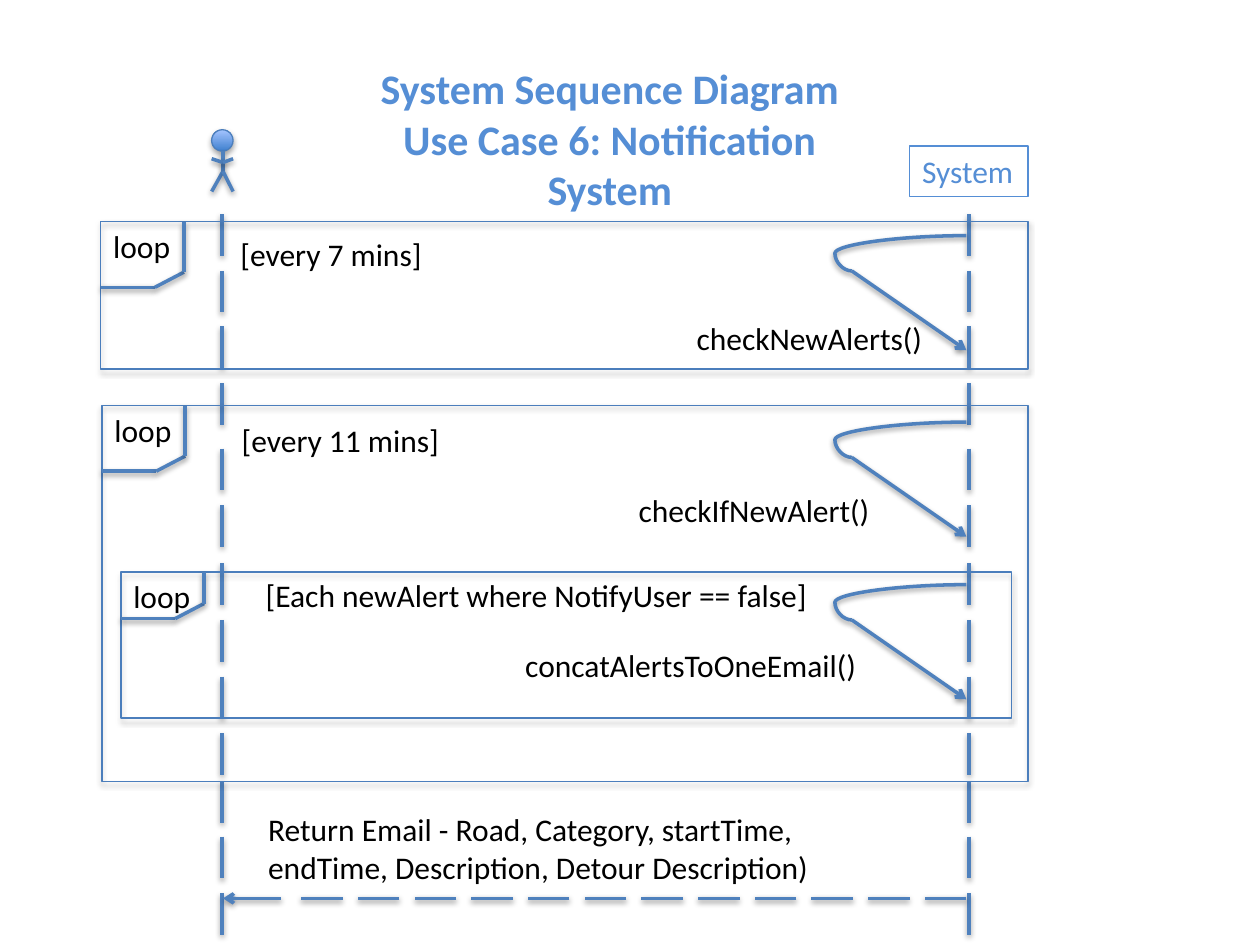
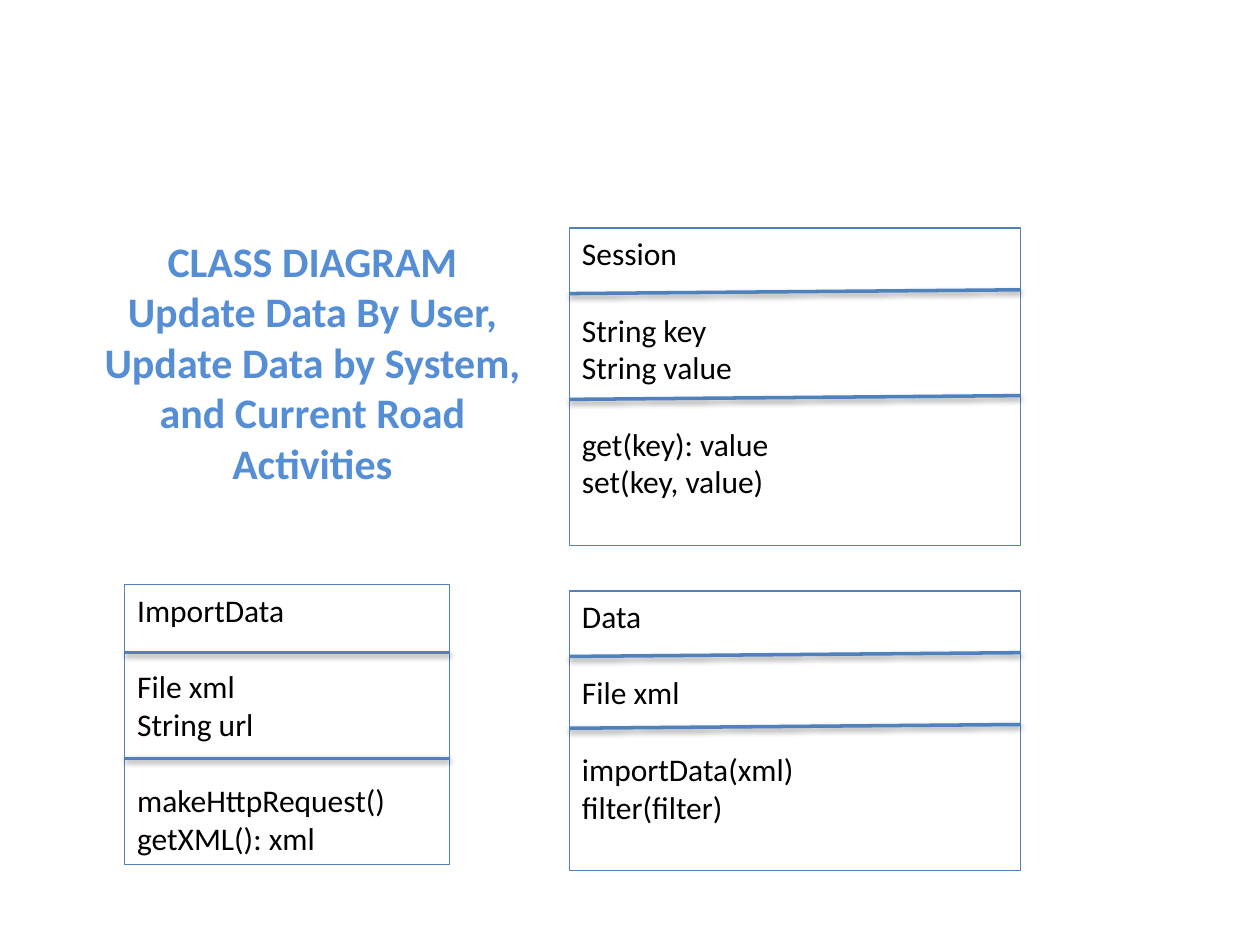
from itertools import pairwise

from lxml import etree
from pptx import Presentation
from pptx.dml.color import RGBColor
from pptx.enum.shapes import MSO_CONNECTOR, MSO_SHAPE
from pptx.enum.text import MSO_ANCHOR, MSO_AUTO_SIZE, PP_ALIGN
from pptx.oxml.ns import qn
from pptx.util import Emu, Pt

STRAIGHT, CURVE = MSO_CONNECTOR.STRAIGHT, MSO_CONNECTOR.CURVE
RECT, OVAL = MSO_SHAPE.RECTANGLE, MSO_SHAPE.OVAL
TOP, FIT = MSO_ANCHOR.TOP, MSO_AUTO_SIZE.SHAPE_TO_FIT_TEXT
LEFT, CENTER = PP_ALIGN.LEFT, PP_ALIGN.CENTER

BLACK = RGBColor(0x00, 0x00, 0x00)
TITLE = RGBColor(0x55, 0x8E, 0xD5)
LINE = RGBColor(0x4F, 0x81, 0xBD)
EDGE = RGBColor(0x4B, 0x7E, 0xBC)
DARK = RGBColor(0x3F, 0x80, 0xCE)
LIGHT = RGBColor(0xA4, 0xC4, 0xFF)

FONT = "Calibri"
SCALE = 9144  # EMU in one px, 100 px to the inch
DASH = 33
USER_X, SYSTEM_X, CALL_X = 176, 769, 767
DASH_TOPS = (170, 215, 259, 304, 356, 401, 447, 492, 537, 582, 620, 664, 709)


def px(*nums):
    return [Emu(n * SCALE) for n in nums]


# Effects and strokes
def add_shadow(shape, alpha, dist):
    props = shape.element.spPr
    glow = props.find(qn("a:effectLst"))
    if glow is None:
        glow = etree.SubElement(props, qn("a:effectLst"))
    shade = etree.SubElement(glow, qn("a:outerShdw"), blurRad="40000",
                             dist=str(dist), dir="5400000", rotWithShape="0")
    tint = etree.SubElement(shade, qn("a:srgbClr"), val=str(BLACK))
    etree.SubElement(tint, qn("a:alpha"), val=str(alpha * 1000))


def add_line(slide, start, end, kind=STRAIGHT, arrow=False):
    line = slide.shapes.add_connector(kind, *px(*start, *end))
    line.line.color.rgb = LINE
    line.line.width = Pt(2)
    if arrow:
        etree.SubElement(line.element.spPr.find(qn("a:ln")),
                         qn("a:tailEnd"), type="arrow")
    add_shadow(line, 38, 20000)
    return line


def add_chain(slide, *points):
    for start, end in pairwise(points):
        add_line(slide, start, end)


def add_box(slide, kind, area, edge):
    box = slide.shapes.add_shape(kind, *px(*area))
    box.shadow.inherit = False
    box.fill.background()
    box.line.color.rgb = edge
    box.line.width = Pt(0.75)
    return box


# Text
def write(frame, lines, size=18, color=BLACK, bold=False, align=LEFT, wrap=False):
    frame.word_wrap = wrap
    frame.auto_size = FIT
    frame.vertical_anchor = TOP
    for i, text in enumerate(lines):
        para = frame.paragraphs[0] if i == 0 else frame.add_paragraph()
        para.alignment = align
        run = para.add_run()
        run.text = text
        run.font.name = FONT
        run.font.size = Pt(size)
        run.font.bold = bold
        run.font.color.rgb = color


def add_label(slide, area, *lines, **style):
    write(slide.shapes.add_textbox(*px(*area)).text_frame, lines, **style)


def add_title(slide, area, *lines):
    add_label(slide, area, *lines, size=24, color=TITLE, bold=True,
              align=CENTER, wrap=True)


# Sequence diagram parts
def add_life(slide, x):
    for top in DASH_TOPS:
        add_line(slide, (x, top), (x, top + DASH))


def add_actor(slide):
    head = add_box(slide, OVAL, (168, 103, 17, 17), EDGE)
    head.fill.gradient()
    head.fill.gradient_angle = 90
    for stop, color in zip(head.fill.gradient_stops, (DARK, LIGHT)):
        stop.color.rgb = color
    add_shadow(head, 35, 23000)
    neck, hip = (177, 120), (177, 136)
    add_line(slide, neck, hip)
    for x in (168, 185):
        add_line(slide, hip, (x, 152))
        add_line(slide, (177, 129), (x, 126))


def add_loop(slide, area, tab):
    left, top = area[:2]
    add_shadow(add_box(slide, RECT, area, EDGE), 35, 23000)
    add_label(slide, (left, top - 1, 66, 40), "loop")
    base = top + tab
    add_chain(slide, (left, base), (left + 43, base),
              (left + 66, base - 12), (left + 66, top))


def add_call(slide, top):
    turn = (676, top + 28)
    bend = add_line(slide, (CALL_X, top), turn, CURVE)
    guides = bend.element.spPr.find(qn("a:prstGeom")).find(qn("a:avLst"))
    etree.SubElement(guides, qn("a:gd"), name="adj1", fmla="val 114700")
    add_line(slide, turn, (CALL_X, top + 91), arrow=True)


def add_reply(slide):
    for i in range(12):
        x = CALL_X - 45 * i
        add_line(slide, (x, 713), (x - DASH, 713))
    add_line(slide, (223, 713), (177, 713), arrow=True)


# Class diagram part
def add_class(slide, area, groups, rules, rise=0):
    left, top, width = area[:3]
    frame = add_box(slide, RECT, area, LINE).text_frame
    write(frame, [text for group in groups for text in group], wrap=True)
    row = 0
    for group in groups[:-1]:
        row += len(group)
        frame.paragraphs[row].space_before = Pt(22)
    for drop in rules:
        y = top + drop
        add_line(slide, (left, y), (left + width, y - rise))


def draw_sequence(slide):
    add_title(slide, (291, 45, 386, 131), "System Sequence Diagram",
              "Use Case 6: Notification System")
    for x in (USER_X, SYSTEM_X):
        add_life(slide, x)
    add_actor(slide)
    system = add_box(slide, RECT, (722, 116, 94, 40), TITLE)
    write(system.text_frame, ["System"], color=TITLE)

    for area, tab in (((80, 176, 736, 117), 52),
                      ((81, 322, 735, 298), 52),
                      ((96, 454, 707, 116), 37)):
        add_loop(slide, area, tab)
    for top in (187, 335, 464):
        add_call(slide, top)
    for area, text in (
            ((181, 182, 166, 40), "[every 7 mins]"),
            ((543, 248, 201, 40), "checkNewAlerts()"),
            ((182, 329, 179, 40), "[every 11 mins]"),
            ((497, 385, 205, 40), "checkIfNewAlert()"),
            ((201, 452, 455, 40), "[Each newAlert where NotifyUser == false]"),
            ((407, 508, 288, 40), "concatAlertsToOneEmail()")):
        add_label(slide, area, text)
    add_reply(slide)
    add_label(slide, (203, 638, 454, 71),
              "Return Email - Road, Category, startTime,",
              "endTime, Description, Detour Description)")


def draw_classes(slide):
    add_title(slide, (70, 182, 356, 212), "CLASS DIAGRAM",
              "Update Data By User, Update Data by System, "
              "and Current Road Activities")
    add_class(slide, (452, 181, 358, 252),
              (["Session"], ["String key", "String value"],
               ["get(key): value", "set(key, value)"]), (52, 136), rise=3)
    add_class(slide, (99, 464, 258, 222),
              (["ImportData"], ["File xml", "String url"],
               ["makeHttpRequest()", "getXML(): xml"]), (54, 138))
    add_class(slide, (452, 469, 358, 222),
              (["Data"], ["File xml"],
               ["importData(xml)", "filter(filter)"]), (52, 109), rise=3)


def main():
    deck = Presentation()
    deck.slide_width, deck.slide_height = px(1000, 750)
    blank = deck.slide_layouts[6]
    for draw in (draw_sequence, draw_classes):
        draw(deck.slides.add_slide(blank))
    deck.save("out.pptx")


if __name__ == "__main__":
    main()
